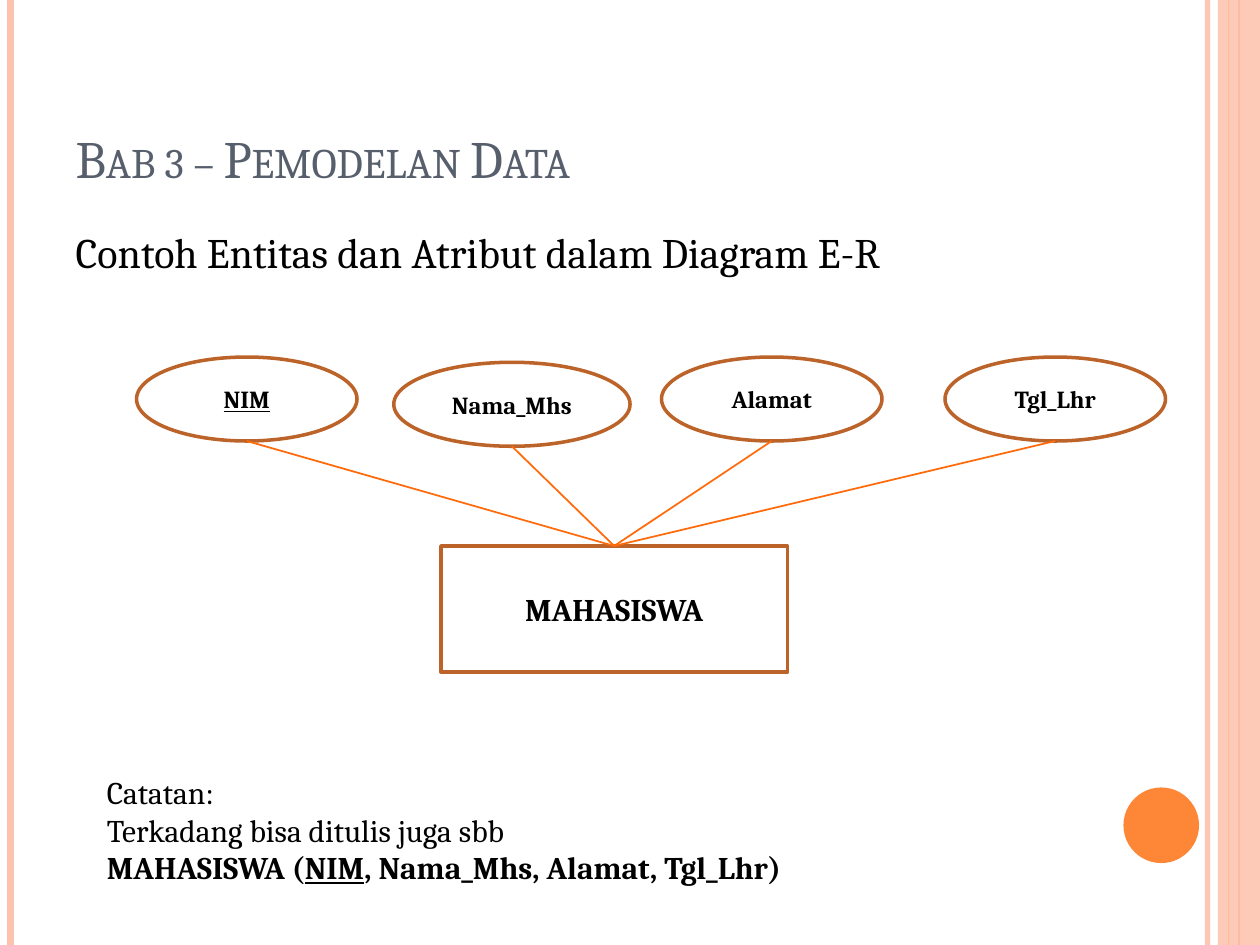
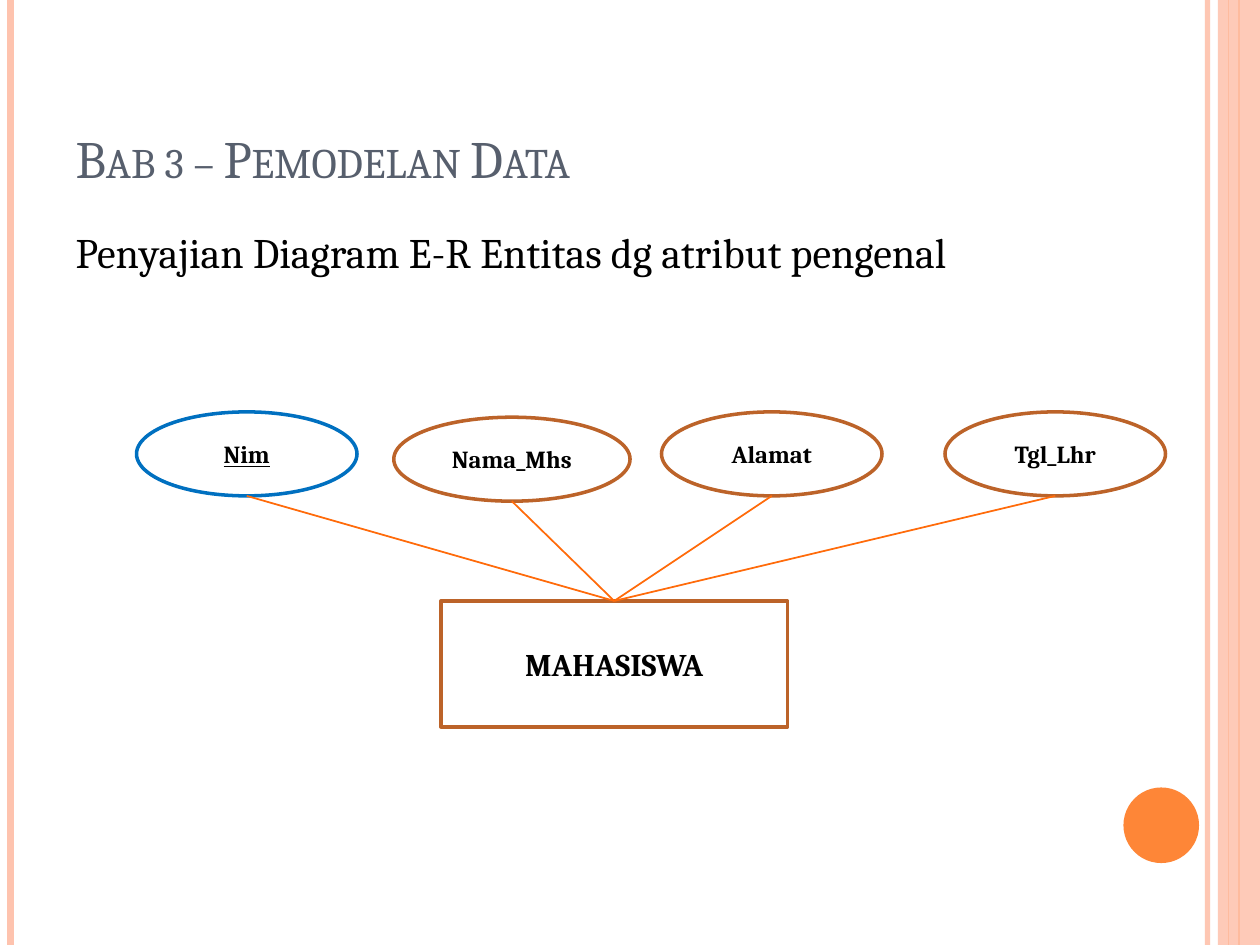
import pptx
import pptx.dml.color
import pptx.enum.shapes
import pptx.enum.text
import pptx.oxml
import pptx.oxml.ns
import pptx.util

Pt = pptx.util.Pt
Shape = pptx.enum.shapes.MSO_SHAPE
Anchor = pptx.enum.text.MSO_ANCHOR
Align = pptx.enum.text.PP_ALIGN

WIDTH, HEIGHT = 720, 540
FONT = "Cambria"
COLORS = {
    "text": "000000",
    "title": "575F6D",
    "peach": "FEC3AE",
    "orange": "FE8637",
    "outline": "BC6329",
    "key outline": "0070C0",
    "link": "FF6B0A",
}

TITLE = "Bab 3 – Pemodelan Data"
ENTITY = "MAHASISWA"
NOTE = [
    [("Catatan:", {})],
    [("Terkadang bisa ditulis juga sbb", {})],
    [
        ("MAHASISWA (", {"bold": True}),
        ("NIM", {"bold": True, "underline": True}),
        (", Nama_Mhs, Alamat, Tgl_Lhr)", {"bold": True}),
    ],
]
SLIDES = [
    {
        "heading": "Contoh Entitas dan Atribut dalam Diagram E-R",
        "attributes": ["NIM", "Nama_Mhs", "Alamat", "Tgl_Lhr"],
        "key color": "outline",
        "diagram top": 204,
        "note": NOTE,
    },
    {
        "heading": "Penyajian Diagram E-R Entitas dg atribut pengenal",
        "attributes": ["Nim", "Nama_Mhs", "Alamat", "Tgl_Lhr"],
        "key color": "key outline",
        "diagram top": 235.4,
        "note": None,
    },
]

# Left, drop below the diagram top, width
ATTRIBUTE_SLOTS = [(78, 0, 126), (225, 3, 135), (378, 0, 126), (540, 0, 126)]
ATTRIBUTE_HEIGHT = 48
ENTITY_LEFT, ENTITY_DROP, ENTITY_WIDTH, ENTITY_HEIGHT = 252, 108, 198, 72

# Position across the slide, line width, colour, opacity in percent
RULES = [
    (690, 3, "peach", 93),
    (6, 4.5, "peach", 100),
    (708, 1.5, "orange", 100),
    (702, 0.75, "orange", 100),
]


def rgb(name):
    return pptx.dml.color.RGBColor.from_string(COLORS[name])


def set_opacity(element, percent):
    for color in element.iter(pptx.oxml.ns.qn("a:srgbClr")):
        alpha = pptx.oxml.parse_xml(
            f'<a:alpha {pptx.oxml.ns.nsdecls("a")} val="{percent * 1000}"/>')
        color.append(alpha)


def write(shape, text, size=18, color="text", bold=False, underline=False,
          small_caps=False, align=Align.LEFT, anchor=Anchor.TOP, wrap=True):
    """Fill a shape with one paragraph; text is a string or lines of (text, format) runs."""
    frame = shape.text_frame
    frame.word_wrap = wrap
    frame.auto_size = pptx.enum.text.MSO_AUTO_SIZE.NONE
    frame.vertical_anchor = anchor
    paragraph = frame.paragraphs[0]
    paragraph.alignment = align
    paragraph.space_before = Pt(0)
    lines = [[(text, {})]] if isinstance(text, str) else text
    for number, line in enumerate(lines):
        if number:
            paragraph.add_line_break()
        for words, own in line:
            run = paragraph.add_run()
            run.text = words
            run.font.name = FONT
            run.font.size = Pt(size)
            run.font.color.rgb = rgb(color)
            run.font.bold = own.get("bold", bold)
            run.font.underline = own.get("underline", underline)
            if small_caps:
                run.font._element.set("cap", "small")


def place(shape, left, top, width, height):
    shape.left, shape.top = Pt(left), Pt(top)
    shape.width, shape.height = Pt(width), Pt(height)


def add_line(slide, start, end, width, color):
    line = slide.shapes.add_connector(
        pptx.enum.shapes.MSO_CONNECTOR.STRAIGHT, *map(Pt, start + end))
    line.line.width = Pt(width)
    line.line.color.rgb = rgb(color)
    line._element.spPr.append(
        pptx.oxml.parse_xml(f'<a:effectLst {pptx.oxml.ns.nsdecls("a")}/>'))
    return line


def add_filled(slide, kind, box, color):
    shape = slide.shapes.add_shape(kind, *map(Pt, box))
    shape.shadow.inherit = False
    shape.fill.solid()
    shape.fill.fore_color.rgb = rgb(color)
    shape.line.fill.background()
    return shape


def add_outlined(slide, kind, box, color, text, **text_format):
    shape = slide.shapes.add_shape(kind, *map(Pt, box))
    shape.shadow.inherit = False
    shape.fill.background()
    shape.line.color.rgb = rgb(color)
    shape.line.width = Pt(2)
    write(shape, text, bold=True, align=Align.CENTER, anchor=Anchor.MIDDLE,
          **text_format)


def add_decoration(slide):
    for x, width, color, opacity in RULES:
        line = add_line(slide, (x, 0), (x, HEIGHT), width, color)
        if opacity < 100:
            set_opacity(line._element, opacity)
    band = add_filled(slide, Shape.RECTANGLE, (696, 0, WIDTH - 696, HEIGHT), "peach")
    set_opacity(band._element, 87)
    add_filled(slide, Shape.OVAL, (642, 450, 43.2, 43.2), "orange")


def add_headings(slide, heading):
    title, body = slide.shapes.title, slide.placeholders[1]
    place(title, 36, 21.6, 588, 90)
    write(title, TITLE, size=30, color="title", small_caps=True, anchor=Anchor.BOTTOM)
    place(body, 36, 126, 588, 384)
    properties = body.text_frame.paragraphs[0]._p.get_or_add_pPr()
    properties.set("marL", "0")
    properties.set("indent", "0")
    properties.append(
        pptx.oxml.parse_xml(f'<a:buNone {pptx.oxml.ns.nsdecls("a")}/>'))
    write(body, heading, size=24)


def add_diagram(slide, attributes, key_color, top):
    """Draw the entity with its attributes above it; the first one is the key."""
    entity_top = top + ENTITY_DROP
    add_outlined(slide, Shape.RECTANGLE,
                 (ENTITY_LEFT, entity_top, ENTITY_WIDTH, ENTITY_HEIGHT),
                 "outline", ENTITY)
    hub = (ENTITY_LEFT + ENTITY_WIDTH / 2, entity_top)
    for number, (name, slot) in enumerate(zip(attributes, ATTRIBUTE_SLOTS)):
        left, drop, width = slot
        is_key = number == 0
        add_outlined(slide, Shape.OVAL, (left, top + drop, width, ATTRIBUTE_HEIGHT),
                     key_color if is_key else "outline", name,
                     size=14, underline=is_key)
        foot = (left + width / 2, top + drop + ATTRIBUTE_HEIGHT)
        add_line(slide, hub, foot, 1, "link")


def main():
    presentation = pptx.Presentation()
    presentation.slide_width, presentation.slide_height = Pt(WIDTH), Pt(HEIGHT)
    for content in SLIDES:
        slide = presentation.slides.add_slide(presentation.slide_layouts[1])
        add_decoration(slide)
        add_headings(slide, content["heading"])
        add_diagram(slide, content["attributes"], content["key color"],
                    content["diagram top"])
        if content["note"]:
            note = slide.shapes.add_textbox(Pt(54), Pt(438), Pt(443.5), Pt(72.7))
            write(note, content["note"], wrap=False)
    presentation.save("out.pptx")


if __name__ == "__main__":
    main()
